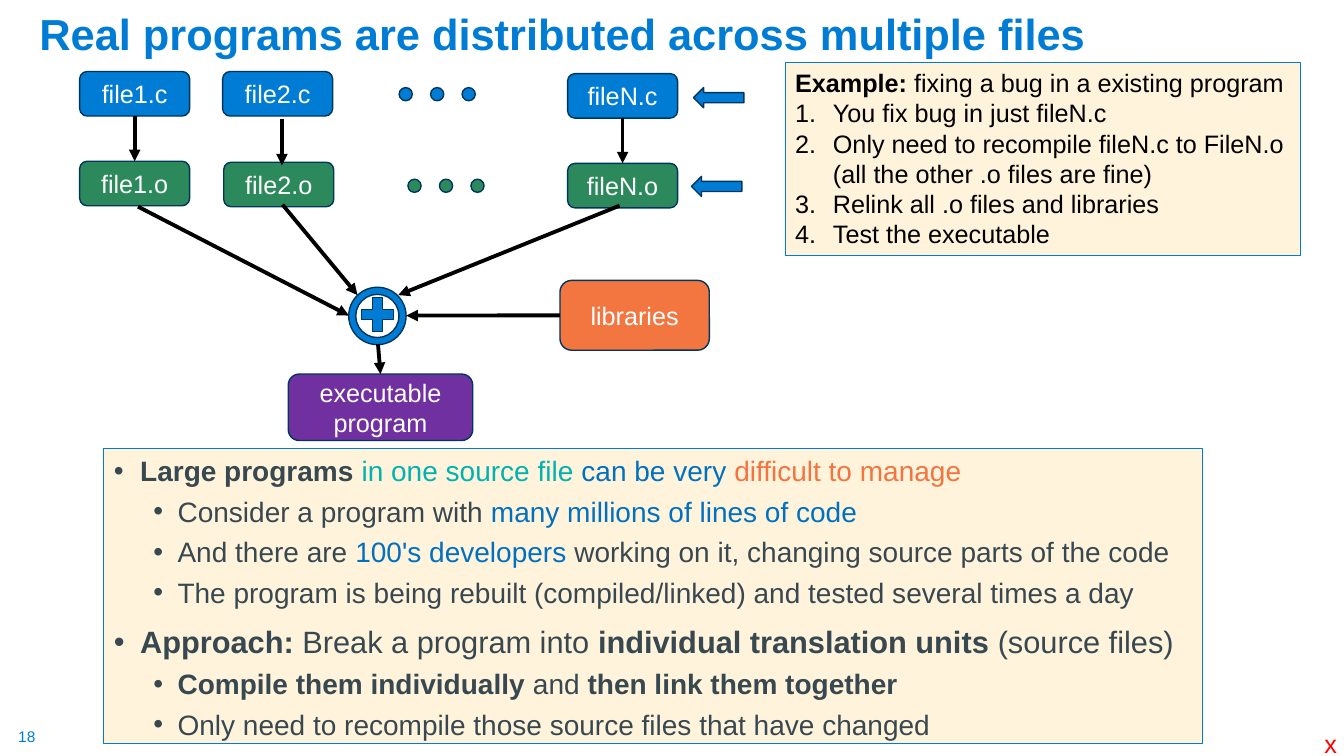
"""Build the slide on programs distributed across multiple files."""
from dataclasses import dataclass
from typing import Optional

from lxml import etree
from pptx import Presentation
from pptx.dml.color import RGBColor
from pptx.enum.shapes import MSO_CONNECTOR, MSO_SHAPE
from pptx.enum.text import MSO_ANCHOR, MSO_AUTO_SIZE, PP_ALIGN
from pptx.oxml.ns import qn
from pptx.util import Pt

RECT, ROUND = MSO_SHAPE.RECTANGLE, MSO_SHAPE.ROUNDED_RECTANGLE
OVAL, DONUT = MSO_SHAPE.OVAL, MSO_SHAPE.DONUT
PLUS, LEFT_ARROW = MSO_SHAPE.MATH_PLUS, MSO_SHAPE.LEFT_ARROW
STRAIGHT = MSO_CONNECTOR.STRAIGHT
TOP, MIDDLE, BOTTOM = MSO_ANCHOR.TOP, MSO_ANCHOR.MIDDLE, MSO_ANCHOR.BOTTOM
LEFT, CENTER = PP_ALIGN.LEFT, PP_ALIGN.CENTER
NO_FIT = MSO_AUTO_SIZE.NONE

FONT = "Arial"
BLUE = RGBColor(0x00, 0x7C, 0xD5)
NAVY = RGBColor(0x00, 0x36, 0x5D)
GREEN = RGBColor(0x2C, 0x89, 0x5B)
ORANGE = RGBColor(0xF3, 0x75, 0x3F)
PURPLE = RGBColor(0x70, 0x30, 0xA0)
CREAM = RGBColor(0xFF, 0xF4, 0xDB)
SLATE = RGBColor(0x38, 0x48, 0x51)
TEAL = RGBColor(0x00, 0xB2, 0xB1)
AZURE = RGBColor(0x00, 0x70, 0xC0)
CORAL = RGBColor(0xF3, 0x74, 0x40)
RED = RGBColor(0xFF, 0x00, 0x00)
BLACK = RGBColor(0x00, 0x00, 0x00)
WHITE = RGBColor(0xFF, 0xFF, 0xFF)


@dataclass
class Run:
    text: str
    color: RGBColor = SLATE
    bold: bool = False


@dataclass
class Item:
    level: int
    runs: list[Run]
    size: float = 20


@dataclass
class Box:
    text: str
    x: float
    y: float
    w: float
    h: float
    fill: RGBColor


@dataclass
class Arrow:
    start: tuple[float, float]
    end: tuple[float, float]
    source: Optional[str] = None
    source_site: int = 2
    target: Optional[str] = None


BOXES = [
    Box("file1.c", 56.9, 51.1, 78.6, 31.8, BLUE),
    Box("file2.c", 159, 51.1, 78.6, 31.8, BLUE),
    Box("fileN.c", 405.4, 52.6, 78.6, 31.8, BLUE),
    Box("file1.o", 56.9, 115.2, 78.6, 31.8, GREEN),
    Box("file2.o", 159.8, 115.9, 78.6, 31.8, GREEN),
    Box("fileN.o", 405.4, 116.7, 78.6, 31.8, GREEN),
    Box("libraries", 400, 200.3, 106.7, 49.9, ORANGE),
    Box("executable program", 205.9, 267.2, 131.8, 47.5, PURPLE),
]
ARROWS = [
    Arrow((96.2, 82.9), (96.2, 115.2), "file1.c", target="file1.o"),
    Arrow((201.4, 84.8), (201.4, 118.2)),
    Arrow((442.6, 84.4), (442.6, 118), "fileN.c", target="fileN.o"),
    Arrow((201.8, 146.2), (255.4, 210.8)),
    Arrow((98.6, 147.6), (249.2, 225.4)),
    Arrow((442.6, 146.9), (284.5, 210.8)),
    Arrow((400, 225.4), (290.2, 225.4), "libraries", 1),
    Arrow((270, 245.8), (270, 267.2), target="executable program"),
]
EXAMPLE = [
    "You fix bug in just fileN.c",
    "Only need to recompile fileN.c to FileN.o (all the other .o files are fine)",
    "Relink all .o files and libraries",
    "Test the executable",
]
BODY = [
    Item(0, [Run("Large programs ", bold=True), Run("in one source file ", TEAL),
             Run("can be very ", AZURE), Run("difficult to manage", CORAL)]),
    Item(1, [Run("Consider a program with"), Run(" many millions of lines of code", AZURE)]),
    Item(1, [Run("And there are "), Run("100's developers ", AZURE),
             Run("working on it, changing source parts of the code")]),
    Item(1, [Run("The program is being rebuilt (compiled/linked) and tested several times a day")]),
    Item(0, [Run("Approach: ", bold=True), Run("Break a program into "),
             Run("individual translation units ", bold=True), Run("(source files)")], 22),
    Item(1, [Run("Compile them individually ", bold=True), Run("and "),
             Run("then link them together", bold=True)]),
    Item(1, [Run("Only need to recompile those source files that have changed")]),
]


def place(sp, x: float, y: float, w: float, h: float) -> None:
    sp.left, sp.top, sp.width, sp.height = Pt(x), Pt(y), Pt(w), Pt(h)


def paint(sp, fill: RGBColor, line: RGBColor, width: float) -> None:
    sp.fill.solid()
    sp.fill.fore_color.rgb = fill
    sp.line.color.rgb = line
    sp.line.width = Pt(width)


def add_run(p, run: Run, size: float) -> None:
    r = p.add_run()
    r.text = run.text
    r.font.name, r.font.size, r.font.bold = FONT, Pt(size), run.bold
    r.font.color.rgb = run.color


def add_bullet(p, margin: float, hang: float, tag: str, **attrs: str) -> None:
    pPr = p._p.get_or_add_pPr()
    pPr.set("marL", str(Pt(margin)))
    pPr.set("indent", str(-Pt(hang)))
    etree.SubElement(pPr, qn(tag), attrs)


def add_shape(s, kind, x: float, y: float, w: float, h: float, fill: RGBColor,
              line: RGBColor = NAVY, width: float = 1):
    sp = s.shapes.add_shape(kind, Pt(x), Pt(y), Pt(w), Pt(h))
    sp.shadow.inherit = False
    paint(sp, fill, line, width)
    return sp


def add_label(s, run: Run, size: float, x: float, y: float, w: float, h: float,
              inset: float) -> None:
    tf = s.shapes.add_textbox(Pt(x), Pt(y), Pt(w), Pt(h)).text_frame
    tf.word_wrap = False
    tf.margin_left = tf.margin_right = Pt(2 * inset)
    tf.margin_top = tf.margin_bottom = Pt(inset)
    add_run(tf.paragraphs[0], run, size)


def add_box(s, box: Box):
    sp = add_shape(s, ROUND, box.x, box.y, box.w, box.h, box.fill)
    tf = sp.text_frame
    tf.word_wrap, tf.vertical_anchor = True, MIDDLE
    p = tf.paragraphs[0]
    p.alignment = CENTER
    add_run(p, Run(box.text, WHITE), 18)
    return sp


def add_arrow(s, arrow: Arrow, boxes: dict) -> None:
    cx = s.shapes.add_connector(STRAIGHT, *map(Pt, arrow.start + arrow.end))
    if arrow.source:
        cx.begin_connect(boxes[arrow.source], arrow.source_site)
    if arrow.target:
        cx.end_connect(boxes[arrow.target], 0)
    cx.line.color.rgb, cx.line.width = BLACK, Pt(2.75)
    etree.SubElement(cx.line._get_or_add_ln(), qn("a:tailEnd"), type="triangle")
    etree.SubElement(cx._element.spPr, qn("a:effectLst"))


def fill_placeholders(s) -> None:
    title, body = s.placeholders
    place(title, 20.9, 18, 871.2, 28.1)
    tf = title.text_frame
    tf.auto_size, tf.vertical_anchor = NO_FIT, BOTTOM
    p = tf.paragraphs[0]
    p.alignment, p.line_spacing = LEFT, 0.9
    add_run(p, Run("Real programs are distributed across multiple files", BLUE, True), 31)
    place(body, 74.2, 320.4, 784.8, 211)
    paint(body, CREAM, BLUE, 0.75)
    tf = body.text_frame
    tf.auto_size, tf.vertical_anchor = NO_FIT, TOP
    for i, item in enumerate(BODY):
        p = tf.add_paragraph() if i else tf.paragraphs[0]
        p.level, p.space_before = item.level, Pt(5 if item.level else 10)
        add_bullet(p, *((45.4, 17.3) if item.level else (18.7, 18.7)), "a:buChar", char="•")
        for run in item.runs:
            add_run(p, run, item.size)


def add_example(s) -> None:
    tf = add_shape(s, RECT, 560.9, 44.6, 368, 138.2, CREAM, BLUE, 0.75).text_frame
    tf.word_wrap, tf.vertical_anchor = True, TOP
    p = tf.paragraphs[0]
    p.alignment = LEFT
    add_run(p, Run("Example:", BLACK, True), 18)
    add_run(p, Run(" fixing a bug in a existing program", BLACK), 18)
    for step in EXAMPLE:
        p = tf.add_paragraph()
        p.alignment = LEFT
        add_bullet(p, 27, 27, "a:buAutoNum", type="arabicPeriod")
        add_run(p, Run(step, BLACK), 18)


def main() -> None:
    prs = Presentation()
    prs.slide_width, prs.slide_height = Pt(960), Pt(540)
    s = prs.slides.add_slide(prs.slide_layouts[1])
    fill_placeholders(s)
    add_label(s, Run("18", BLUE), 11, 13, 519.1, 13.7, 13.7, 0)
    add_label(s, Run("x", RED), 18, 938.9, 517, 23.8, 28.8, 3.6)
    boxes = {box.text: add_box(s, box) for box in BOXES}
    for x, y, color in ((285.1, 62.6, BLUE), (291.4, 128, GREEN)):
        for i in range(3):
            add_shape(s, OVAL, x + 22.5 * i, y, 9.4, 9.4, color)
    add_shape(s, PLUS, 254.2, 208.1, 31, 33.1, BLUE)
    add_shape(s, DONUT, 249.1, 205.2, 41, 41, BLUE).adjustments[0] = 0.123
    for arrow in ARROWS:
        add_arrow(s, arrow, boxes)
    add_example(s)
    for x, y in ((495.4, 62.6), (493.9, 126)):
        add_shape(s, LEFT_ARROW, x, y, 36, 14.4, BLUE)
    prs.save("out.pptx")


if __name__ == "__main__":
    main()
